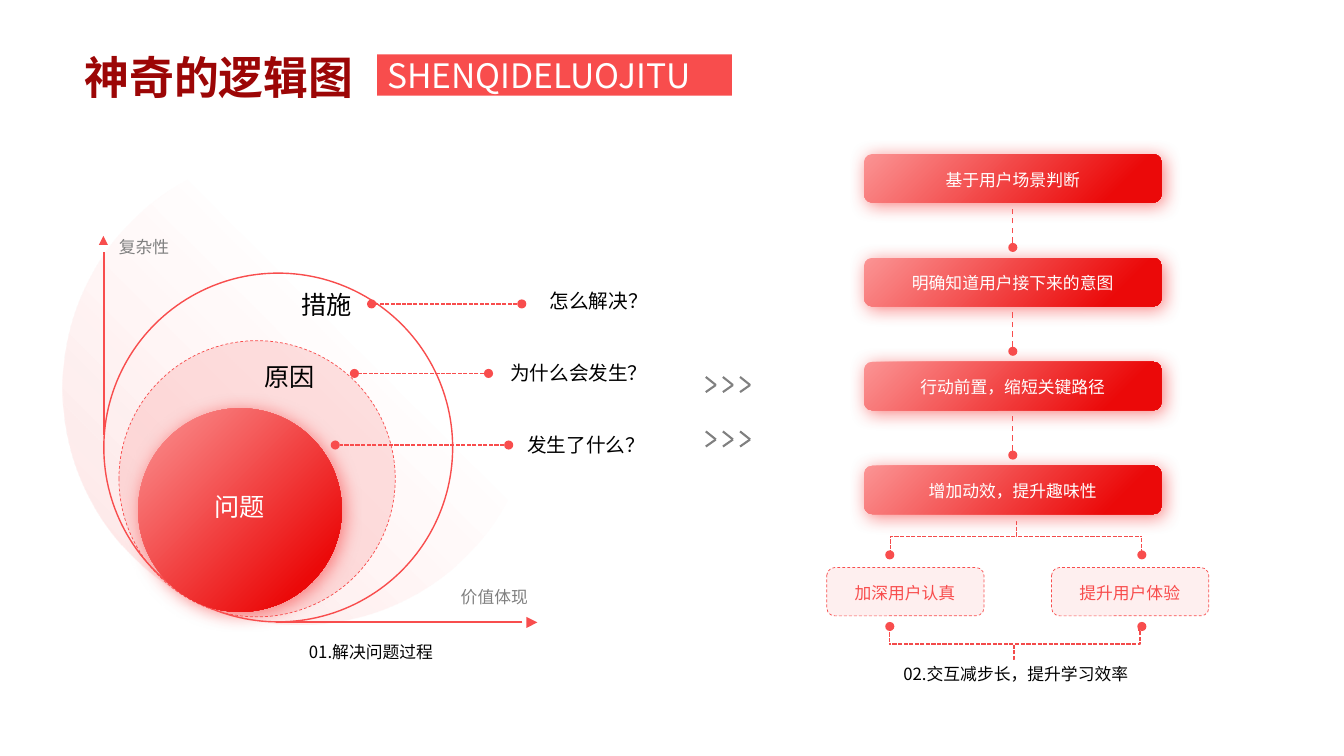
from lxml import etree
from pptx import Presentation
from pptx.dml.color import RGBColor
from pptx.enum.dml import MSO_LINE
from pptx.enum.shapes import MSO_CONNECTOR, MSO_SHAPE
from pptx.enum.text import MSO_ANCHOR, PP_ALIGN
from pptx.oxml.ns import qn
from pptx.util import Inches, Pt

OVAL, RECT, ROUNDED = MSO_SHAPE.OVAL, MSO_SHAPE.RECTANGLE, MSO_SHAPE.ROUNDED_RECTANGLE
TRIANGLE = MSO_SHAPE.ISOSCELES_TRIANGLE
STRAIGHT, ELBOW = MSO_CONNECTOR.STRAIGHT, MSO_CONNECTOR.ELBOW
DASH, SHORT_DASH = MSO_LINE.DASH, MSO_LINE.SQUARE_DOT
LEFT, CENTER, JUSTIFY = PP_ALIGN.LEFT, PP_ALIGN.CENTER, PP_ALIGN.JUSTIFY
TOP, MIDDLE = MSO_ANCHOR.TOP, MSO_ANCHOR.MIDDLE

COLORS = {
    "red": "F84D4D", "branch": "F34B4B", "light": "FB9494", "strong": "EB0909",
    "title": "9C0606", "pink": "FCB8B8", "pale": "FEDBDB",
    "white": "FFFFFF", "black": "000000", "gray": "808080",
}
GLOW = [(0, "light", 100), (0.84, "strong", 100)]
FADE = [(0, "red", 15), (0.61, "red", 0)]
DOT = 0.09


def rgb(name):
    return RGBColor.from_string(COLORS[name])


def add_node(parent, tag, **attributes):
    return etree.SubElement(parent, qn(tag), {key: str(value) for key, value in attributes.items()})


def set_alpha(color_node, percent):
    add_node(color_node, "a:alpha", val=percent * 1000)


class Diagram:
    font = "Noto Sans CJK JP"

    def __init__(self, page):
        self.page = page

    def shape(self, kind, left, top, width, height, fill=None, alpha=100, line=None, dash=None):
        """Draw a preset shape; line is its outline width in points."""
        shape = self.page.shapes.add_shape(
            kind, Inches(left), Inches(top), Inches(width), Inches(height))
        shape.shadow.inherit = False
        if fill:
            shape.fill.solid()
            shape.fill.fore_color.rgb = rgb(fill)
            if alpha < 100:
                set_alpha(shape._element.spPr.find(".//" + qn("a:srgbClr")), alpha)
        else:
            shape.fill.background()
        if line:
            shape.line.width = Pt(line)
            shape.line.color.rgb = rgb("red")
            if dash:
                shape.line.dash_style = dash
        else:
            shape.line.fill.background()
        return shape

    def gradient(self, kind, left, top, width, height, stops, angle):
        """Draw a shape with a two-stop gradient; angle runs counter-clockwise."""
        shape = self.shape(kind, left, top, width, height)
        shape.fill.gradient()
        shape.fill.gradient_angle = angle
        for stop, (position, color, _) in zip(shape.fill.gradient_stops, stops):
            stop.position = position
            stop.color.rgb = rgb(color)
        color_nodes = shape._element.spPr.find(qn("a:gradFill")).iter(qn("a:srgbClr"))
        for node, (_, _, alpha) in zip(list(color_nodes), stops):
            set_alpha(node, alpha)
        return shape

    def glowing(self, kind, left, top, width, height):
        shape = self.gradient(kind, left, top, width, height, GLOW, 315)
        effects = shape._element.spPr.find(qn("a:effectLst"))
        shadow = add_node(effects, "a:outerShdw", blurRad=Pt(13), dist=Pt(3),
                          dir=45 * 60000, algn="tl", rotWithShape=0)
        set_alpha(add_node(shadow, "a:srgbClr", val=COLORS["red"]), 70)

    def dot(self, left, top):
        self.shape(OVAL, left, top, DOT, DOT, "red")

    def line(self, start, end, color="red", width=1, dash=None, bend=None):
        """Draw a line; bend is the elbow position in thousandths of a percent."""
        points = [Inches(value) for value in (*start, *end)]
        line = self.page.shapes.add_connector(STRAIGHT if bend is None else ELBOW, *points)
        line.line.width = Pt(width)
        line.line.color.rgb = rgb(color)
        if dash:
            line.line.dash_style = dash
        properties = line._element.spPr
        add_node(properties, "a:effectLst")
        if bend is not None:
            guides = properties.find(qn("a:prstGeom")).find(qn("a:avLst"))
            add_node(guides, "a:gd", name="adj1", fmla=f"val {bend}")

    def text(self, words, left, top, width, height, size=12, color="black", align=CENTER,
             anchor=TOP, margins=(0, 0), wrap=True, bold=False, font=None):
        box = self.page.shapes.add_textbox(
            Inches(left), Inches(top), Inches(width), Inches(height))
        frame = box.text_frame
        frame.word_wrap = wrap
        frame.vertical_anchor = anchor
        frame.margin_left = frame.margin_right = Inches(margins[0])
        frame.margin_top = frame.margin_bottom = Inches(margins[1])
        frame.text = words
        para = frame.paragraphs[0]
        para.alignment = align
        span = para.runs[0]
        span.font.size = Pt(size)
        span.font.bold = bold
        span.font.color.rgb = rgb(color)
        span.font.name = font or self.font
        add_node(span._r.get_or_add_rPr(), "a:ea", typeface=font or self.font)

    def caption(self, words, left, top, width):
        self.text(words, left, top, width, 0.33, anchor=MIDDLE, margins=(0.03, 0.03), wrap=False)


def draw_steps(diagram):
    steps = ["基于用户场景判断", "明确知道用户接下来的意图", "行动前置，缩短关键路径", "增加动效，提升趣味性"]
    for index, step in enumerate(steps):
        top = 1.53 + 1.03 * index
        diagram.glowing(ROUNDED, 8.57, top, 2.95, 0.48)
        diagram.text(step, 8.91, top + 0.15, 2.27, 0.18, color="white")
        if index < len(steps) - 1:
            diagram.line((10.04, top + 0.88), (10.04, top + 0.54), dash=DASH)
            diagram.dot(10, top + 0.88)


def draw_outcomes(diagram):
    elbows = [
        ((10.09, 5.18), (11.32, 5.32), -700), ((10.07, 5.32), (8.85, 5.47), 101400),
        ((10.05, 6.54), (8.82, 6.39), -700), ((10.07, 6.39), (11.29, 6.25), 101400),
    ]
    for start, end, bend in elbows:
        diagram.line(start, end, "branch", dash=SHORT_DASH, bend=bend)
    diagram.line((11.32, 5.49), (11.32, 5.32), dash=SHORT_DASH)
    diagram.line((8.82, 6.22), (8.82, 6.39), dash=SHORT_DASH)
    for left, outcome in ((8.2, "加深用户认真"), (10.43, "提升用户体验")):
        diagram.shape(ROUNDED, left, 5.63, 1.56, 0.48, "pale", 43, 0.5, DASH)
        diagram.text(outcome, left + 0.22, 5.78, 1.11, 0.18, color="red")
    for left in (8.78, 11.28):
        for top in (5.46, 6.17):
            diagram.dot(left, top)
    diagram.caption("02.交互减步长，提升学习效率", 8.82, 6.52, 2.51)


def draw_circles(diagram):
    questions = [
        ("怎么解决？", 5.45, 2.87, 3.64, 5.13, 2.97),
        ("为什么会发生？", 5.06, 3.58, 3.47, 4.8, 3.66),
        ("发生了什么？", 5.23, 4.29, 3.28, 5, 4.37),
    ]
    for question, left, top, inner, outer, dot_top in questions:
        middle = dot_top + DOT / 2
        diagram.line((outer, middle), (inner + DOT, middle), dash=SHORT_DASH)
        diagram.dot(outer, dot_top)
        diagram.dot(inner, dot_top)
        diagram.text(question, left, top, 1.88, 0.37, 14, align=LEFT)
    diagram.shape(OVAL, 1.03, 2.71, 3.46, 3.46, line=1)
    diagram.glowing(OVAL, 1.37, 4.05, 2.02, 2.02)
    labels = [("措施", 2.73, 2.87, "black"), ("原因", 2.36, 3.58, "black"), ("问题", 1.87, 4.87, "white")]
    for label, left, top, color in labels:
        diagram.text(label, left, top, 1.02, 0.37, 18, color)


def draw_axes(diagram):
    diagram.line((1.03, 2.5), (1.03, 4.32))
    diagram.shape(TRIANGLE, 0.98, 2.34, DOT, DOT, "red")
    diagram.line((5.18, 6.17), (2.74, 6.17))
    diagram.shape(TRIANGLE, 5.22, 6.12, 0.11, 0.11, "red").rotation = 90
    diagram.text("复杂性", 1.18, 2.35, 0.64, 0.2, color="gray", align=LEFT)
    diagram.text("价值体现", 4.57, 5.82, 0.8, 0.24, color="gray", align=LEFT)
    diagram.caption("01.解决问题过程", 2.93, 6.3, 1.5)


def draw_chevrons(diagram):
    for top in (3.74, 4.28):
        for column in range(3):
            left = 7 + 0.17 * column
            for end in (top, top + 0.15):
                diagram.line((left, end), (left + 0.1, top + 0.08), "gray", 1.5)


def main():
    deck = Presentation()
    deck.slide_width, deck.slide_height = Inches(13.33), Inches(7.5)
    diagram = Diagram(deck.slides.add_slide(deck.slide_layouts[6]))
    diagram.gradient(OVAL, 0.62, 1.51, 4.69, 4.69, FADE, 45)
    diagram.shape(OVAL, 1.18, 3.38, 2.74, 2.74, "pink", 43, 0.5, DASH)
    draw_steps(diagram)
    draw_outcomes(diagram)
    draw_circles(diagram)
    draw_axes(diagram)
    draw_chevrons(diagram)
    diagram.text("神奇的逻辑图", 0.74, 0.44, 3.47, 0.64, 32, "title", LEFT,
                 margins=(0.1, 0.05), bold=True, font="Noto Sans CJK SC")
    diagram.shape(RECT, 3.74, 0.54, 3.52, 0.41, "red")
    diagram.text("SHENQIDELUOJITU", 3.74, 0.49, 3.52, 0.5, 24, "white", JUSTIFY,
                 MIDDLE, margins=(0.1, 0.05))
    deck.save("out.pptx")


if __name__ == "__main__":
    main()
